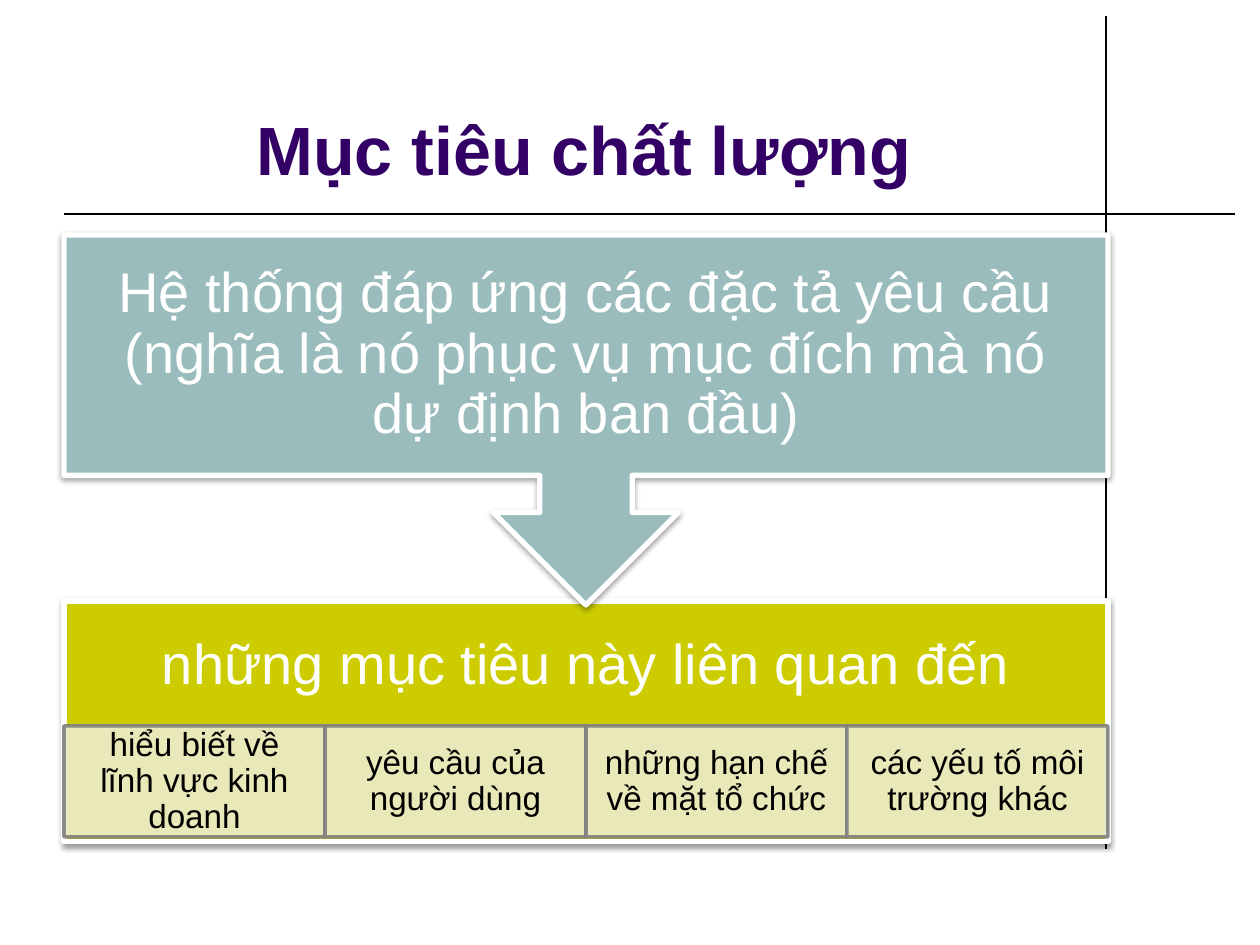
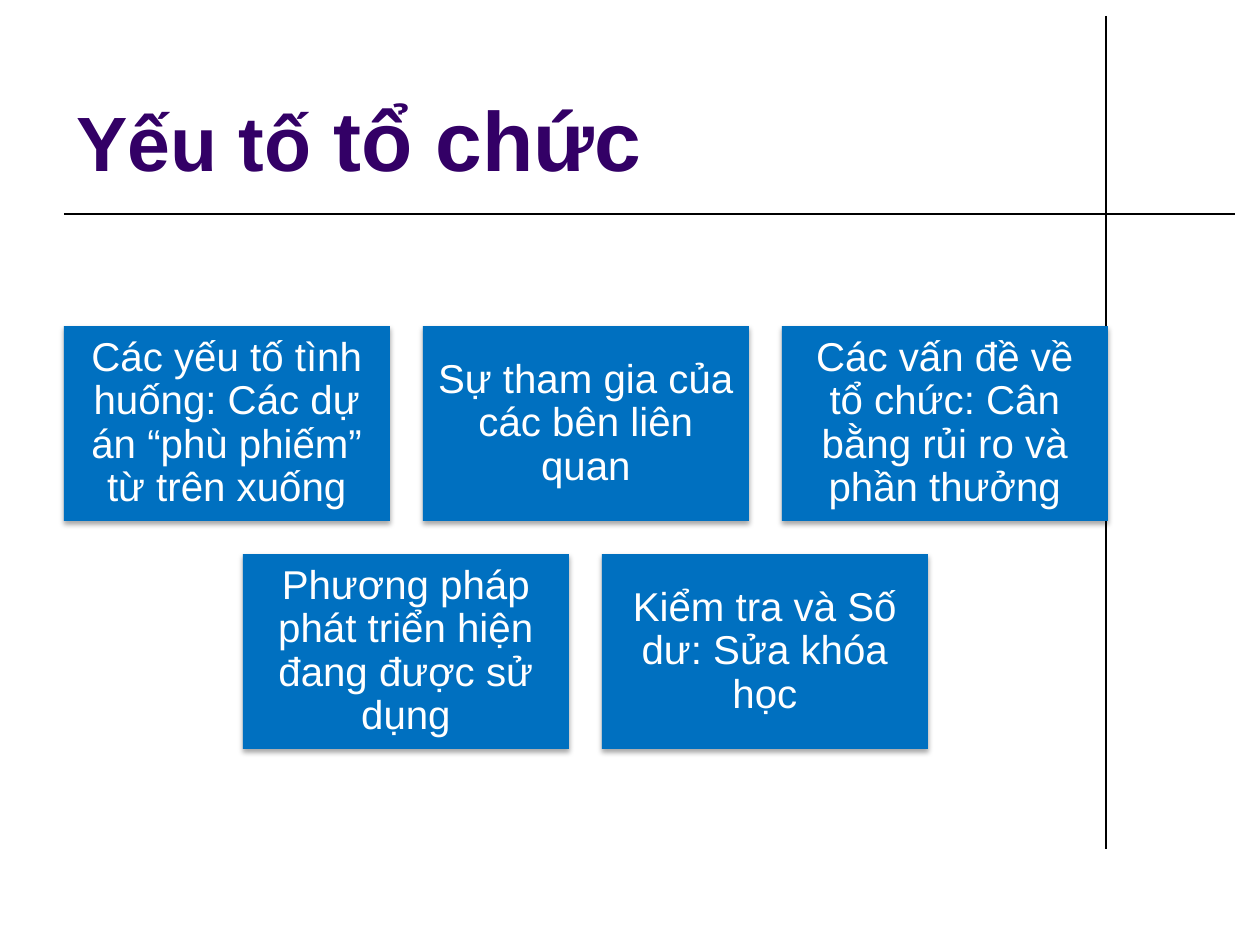
from lxml.etree import SubElement
from pptx import Presentation
from pptx.dml.color import RGBColor
from pptx.enum.shapes import MSO_CONNECTOR, MSO_SHAPE
from pptx.enum.text import MSO_ANCHOR, MSO_AUTO_SIZE, PP_ALIGN
from pptx.oxml.ns import qn
from pptx.util import Emu, Pt

PX = 914400 / 126
FONT = "Arial"
PURPLE = RGBColor(0x33, 0x00, 0x66)
BLACK = RGBColor(0, 0, 0)
WHITE = RGBColor(0xFF, 0xFF, 0xFF)
TEAL = RGBColor(0x9A, 0xBC, 0xBC)
OLIVE = RGBColor(0xCC, 0xCC, 0x00)
CREAM = RGBColor(0xEC, 0xEC, 0xCC)
GRAY = RGBColor(0x80, 0x80, 0x80)
BLUE = RGBColor(0x00, 0x70, 0xC0)

LEFT, WIDTH = 64, 1044

DETAILS = [
    "hiểu biết về lĩnh vực kinh doanh",
    "yêu cầu của người dùng",
    "những hạn chế về mặt tổ chức",
    "các yếu tố môi trường khác",
]
FACTOR_ROWS = [
    [
        "Các yếu tố tình huống: Các dự án “phù phiếm” từ trên xuống",
        "Sự tham gia của các bên liên quan",
        "Các vấn đề về tổ chức: Cân bằng rủi ro và phần thưởng",
    ],
    [
        "Phương pháp phát triển hiện đang được sử dụng",
        "Kiểm tra và Số dư: Sửa khóa học",
    ],
]


def px(*lengths):
    return [Emu(round(length * PX)) for length in lengths]


def add_rule(slide, *ends):
    rule = slide.shapes.add_connector(MSO_CONNECTOR.STRAIGHT, *px(*ends))
    rule.line.color.rgb = BLACK
    rule.line.width = Pt(0.75)
    SubElement(rule._element.spPr, qn("a:effectLst"))


def add_titled_slide(deck, title_runs, align):
    slide = deck.slides.add_slide(deck.slide_layouts[5])
    add_rule(slide, 1106, 16, 1106, 849)
    add_rule(slide, LEFT, 214, 1235, 214)
    title = slide.shapes.title
    title.left, title.top, title.width, title.height = px(LEFT, 16, 1040, 179)
    frame = title.text_frame
    frame.auto_size = MSO_AUTO_SIZE.NONE
    frame.vertical_anchor = MSO_ANCHOR.BOTTOM
    heading = frame.paragraphs[0]
    heading.alignment = align
    heading.font.name = FONT
    heading.font.bold = True
    heading.font.color.rgb = PURPLE
    for words, size in title_runs:
        run = heading.add_run()
        run.text = words
        run.font.size = Pt(size)
    return slide


def add_block(slide, kind, box, fill, words, size, insets, color=WHITE):
    block = slide.shapes.add_shape(kind, *px(*box))
    block.shadow.inherit = False
    block.fill.solid()
    block.fill.fore_color.rgb = fill
    block.line.fill.background()
    frame = block.text_frame
    frame.word_wrap = True
    frame.vertical_anchor = MSO_ANCHOR.MIDDLE
    (frame.margin_left, frame.margin_top,
     frame.margin_right, frame.margin_bottom) = px(*insets)
    label = frame.paragraphs[0]
    label.text = words
    label.alignment = PP_ALIGN.CENTER
    label.line_spacing = 0.9
    label.font.name = FONT
    label.font.size = Pt(size)
    label.font.color.rgb = color
    return block


def outline(block, color, width):
    block.line.color.rgb = color
    block.line.width = Pt(width)


def cast_shadow(block, opacity, distance):
    effects = block._element.spPr.find(qn("a:effectLst"))
    shadow = SubElement(effects, qn("a:outerShdw"), blurRad=str(Pt(3.1)),
                        dist=str(Pt(distance)), dir="5400000", rotWithShape="0")
    tint = SubElement(shadow, qn("a:srgbClr"), val=str(BLACK))
    SubElement(tint, qn("a:alpha"), val=str(opacity * 1000))


def make_translucent(block, opacity):
    for tint in block._element.spPr.iter(qn("a:srgbClr")):
        SubElement(tint, qn("a:alpha"), val=str(opacity * 1000))


def build_quality_goals(deck):
    slide = add_titled_slide(deck, [("Mục tiêu chất lượng", 39)], PP_ALIGN.CENTER)
    detail_top, detail_height = 726, 111
    related = add_block(slide, MSO_SHAPE.RECTANGLE, (LEFT, 601, WIDTH, 241), OLIVE,
                        "những mục tiêu này liên quan đến", 32,
                        (32, 32, 32, 32 + detail_height))
    detail_width = WIDTH // len(DETAILS)
    for column, words in enumerate(DETAILS):
        box = (LEFT + column * detail_width, detail_top, detail_width, detail_height)
        detail = add_block(slide, MSO_SHAPE.RECTANGLE, box, CREAM, words, 19,
                           (18, 4, 18, 4), BLACK)
        outline(detail, GRAY, 2)
        make_translucent(detail, 90)
    goal = add_block(slide, MSO_SHAPE.DOWN_ARROW_CALLOUT, (LEFT, 235, WIDTH, 370), TEAL,
                     "Hệ thống đáp ứng các đặc tả yêu cầu "
                     "(nghĩa là nó phục vụ mục đích mà nó dự định ban đầu)",
                     32, (32, 32, 32, 32))
    for panel in (related, goal):
        outline(panel, WHITE, 3)
        cast_shadow(panel, 38, 1.6)


def build_organisation_factors(deck):
    slide = add_titled_slide(deck, [("Yếu tố ", 44), ("tổ chức", 48)], PP_ALIGN.LEFT)
    width, height, gap = 326, 195, 33
    for row, factors in enumerate(FACTOR_ROWS):
        row_width = len(factors) * (width + gap) - gap
        row_left = LEFT + (WIDTH - row_width) // 2
        top = 326 + row * (height + gap)
        for column, words in enumerate(factors):
            box = (row_left + column * (width + gap), top, width, height)
            factor = add_block(slide, MSO_SHAPE.RECTANGLE, box, BLUE, words, 23,
                               (13, 13, 13, 13))
            cast_shadow(factor, 35, 1.8)


def main():
    deck = Presentation()
    deck.slide_width, deck.slide_height = px(1260, 945)
    build_quality_goals(deck)
    build_organisation_factors(deck)
    deck.save("out.pptx")


if __name__ == "__main__":
    main()
